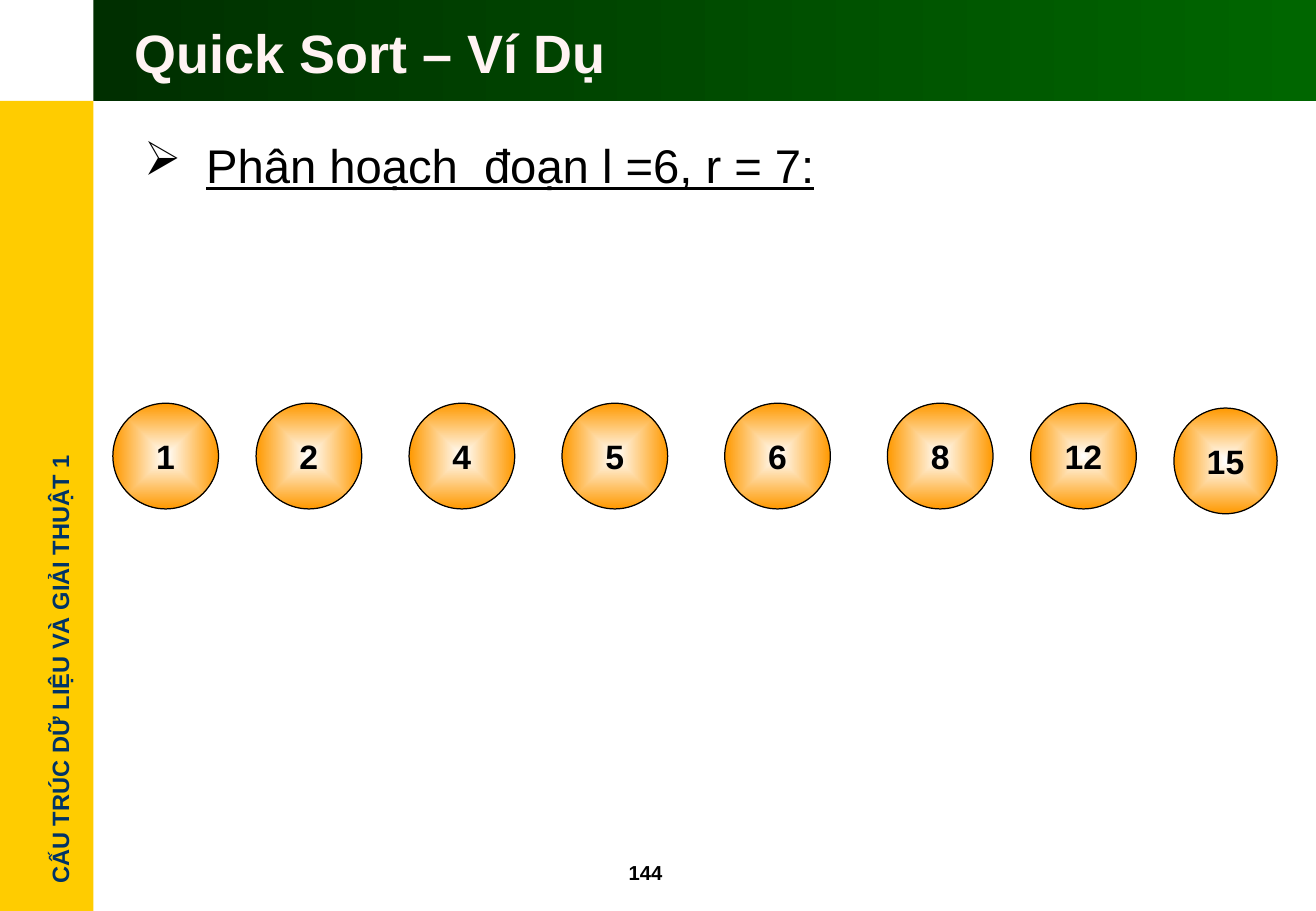
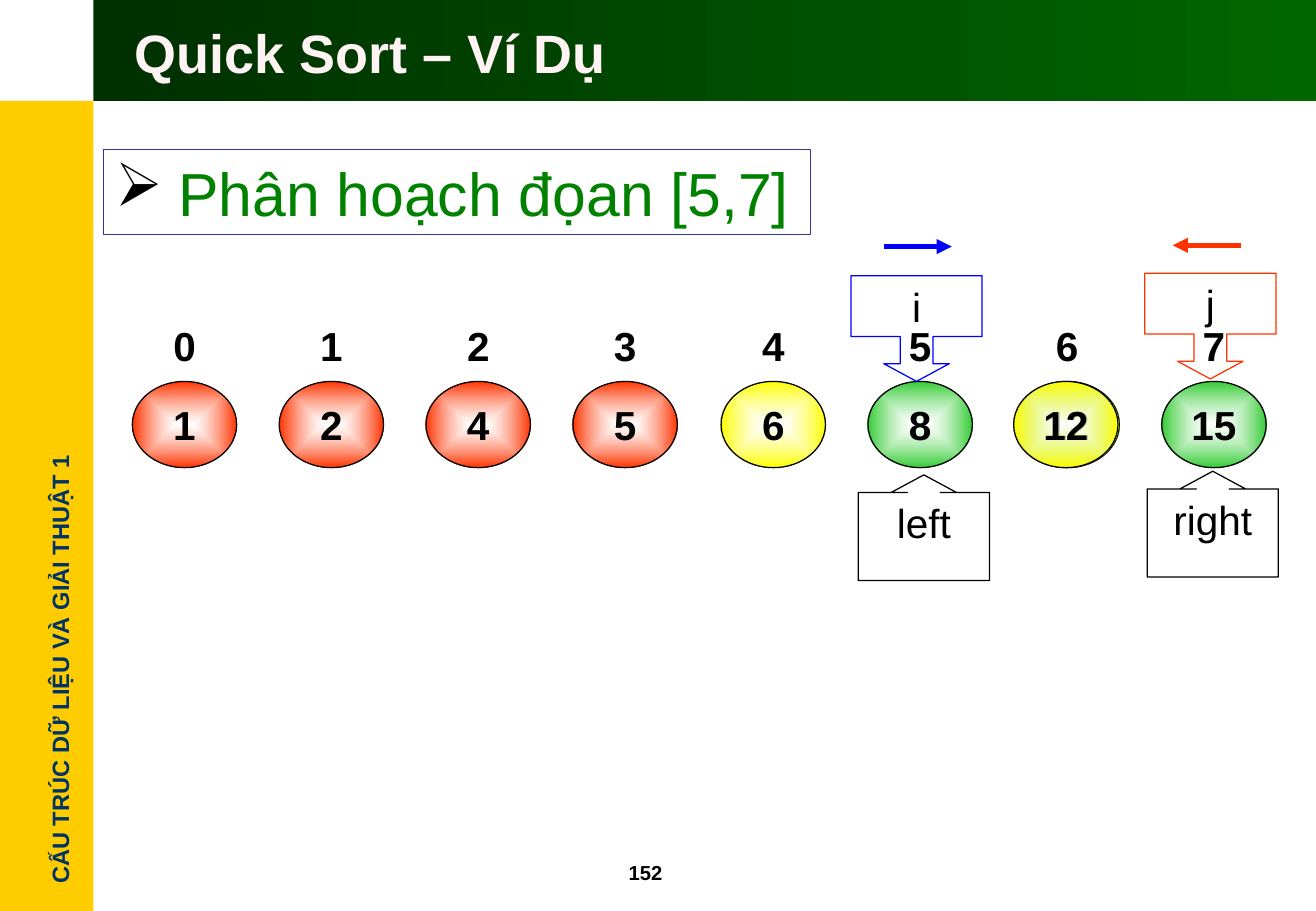
from lxml import etree
from pptx import Presentation
from pptx import util as u
from pptx.dml.color import RGBColor
from pptx.enum import shapes, text
from pptx.oxml import ns

PX = 9144
FONT = "Arial"
COLOURS = {
    "band_start": "002F00", "band_end": "006600", "sidebar": "FFCC00",
    "course": "003366", "title": "FFF3F3", "black": "000000", "white": "FFFFFF",
    "orange": "FF9900", "red": "FF3300", "yellow": "FFFF00", "green": "33CC33",
    "blue": "0000FF", "frame": "333399", "heading": "008200",
}
SLIDE_SIZE = (1084, 750)
COURSE = "CẤU TRÚC DỮ LIỆU VÀ GIẢI THUẬT 1"
TITLE = "Quick Sort – Ví Dụ"
VALUES = [1, 2, 4, 5, 6, 8, 12, 15]

SORTED_PAGE = 144
SORTED_HEADING = "Phân hoạch  đoạn l =6, r = 7:"
SORTED_BOXES = [(left, 332, 87, 87) for left in (93, 211, 337, 463, 597, 731, 849)]
SORTED_BOXES.append((967, 336, 85, 87))

PARTITION_PAGE = 152
PARTITION_HEADING = "Phân hoạch đọan [5,7]"
PARTITION_COLOURS = ["red"] * 4 + ["yellow"] + ["green"] * 3
FIRST_LEFT, LAST_LEFT = 109, 957
INDEX_TOP, VALUE_TOP = 249, 314
CELL_SIZE = (86, 71)
PIVOT = (6, "yellow")
CALLOUT_SIZE = (108, 87)
DOWN, UP = shapes.MSO_SHAPE.DOWN_ARROW_CALLOUT, shapes.MSO_SHAPE.UP_ARROW_CALLOUT
CALLOUTS = [
    ("left", UP, 707, 391, "black", 0.851),
    ("right", UP, 945, 388, "black", 0.851),
    ("i", DOWN, 701, 227, "blue", 0.575),
    ("j", DOWN, 943, 225, "red", 0.575),
]
MOVES = [(728, 784, 203, "blue"), (1022, 966, 202, "red")]


def px(*lengths):
    return [u.Emu(length * PX) for length in lengths]


def rgb(name):
    return RGBColor.from_string(COLOURS[name])


def add_child(parent, tag, **attributes):
    return etree.SubElement(parent, ns.qn(tag), attributes)


def set_text(shape, words, size, colour="black", bold=False, wrap=True,
             align=text.PP_ALIGN.LEFT, anchor=text.MSO_ANCHOR.TOP):
    frame = shape.text_frame
    frame.text = str(words)
    frame.word_wrap = wrap
    frame.vertical_anchor = anchor
    paragraph = frame.paragraphs[0]
    paragraph.alignment = align
    font = paragraph.runs[0].font
    font.name, font.size, font.bold = FONT, u.Pt(size), bold
    font.color.rgb = rgb(colour)
    return paragraph


def add_label(slide, box, words, size, **style):
    return set_text(slide.shapes.add_textbox(*px(*box)), words, size, **style)


def add_shape(slide, kind, box, line=None):
    shape = slide.shapes.add_shape(kind, *px(*box))
    shape.shadow.inherit = False
    shape.fill.background()
    if line:
        shape.line.color.rgb = rgb(line)
        shape.line.width = u.Pt(0.75)
    else:
        shape.line.fill.background()
    return shape


def fill_gradient(shape, start, end):
    shape.fill.gradient()
    shape.fill.gradient_angle = 0
    for stop, colour in zip(shape.fill.gradient_stops, (start, end)):
        stop.color.rgb = rgb(colour)


def fill_from_centre(shape, colour, opacity):
    fill_gradient(shape, "white", colour)
    gradient = shape._element.spPr.find(ns.qn("a:gradFill"))
    gradient.remove(gradient.find(ns.qn("a:lin")))
    centre = add_child(gradient, "a:path", path="rect")
    add_child(centre, "a:fillToRect", l="50000", t="50000", r="50000", b="50000")
    if opacity < 100:
        white = gradient.find(".//" + ns.qn("a:srgbClr"))
        add_child(white, "a:alpha", val=str(opacity * 1000))


def add_ball(slide, box, value, colour, size, opacity=100):
    ball = add_shape(slide, shapes.MSO_SHAPE.OVAL, box, "black")
    fill_from_centre(ball, colour, opacity)
    set_text(ball, value, size, bold=True, wrap=False,
             align=text.PP_ALIGN.CENTER, anchor=text.MSO_ANCHOR.MIDDLE)


def add_bullet(paragraph, indent):
    properties = paragraph._p.get_or_add_pPr()
    properties.set("marL", str(indent * PX))
    properties.set("indent", str(-indent * PX))
    add_child(add_child(properties, "a:buClr"), "a:srgbClr", val=COLOURS["black"])
    add_child(properties, "a:buChar", char="➢")


def add_move(slide, start, end, y, colour):
    arrow = slide.shapes.add_connector(
        shapes.MSO_CONNECTOR.STRAIGHT, *px(start, y, end, y))
    arrow.line.color.rgb = rgb(colour)
    arrow.line.width = u.Pt(3)
    add_child(arrow.line._get_or_add_ln(), "a:tailEnd", type="triangle")
    add_child(arrow._element.spPr, "a:effectLst")


def add_framed_slide(presentation, page):
    slide = presentation.slides.add_slide(presentation.slide_layouts[6])
    sidebar = add_shape(slide, shapes.MSO_SHAPE.RECTANGLE, (0, 83, 77, 667))
    sidebar.fill.solid()
    sidebar.fill.fore_color.rgb = rgb("sidebar")
    course = slide.shapes.add_textbox(*px(-137, 534, 373, 34))
    course.rotation = 270
    set_text(course, COURSE, 14, "course", bold=True, wrap=False)
    band = add_shape(slide, shapes.MSO_SHAPE.RECTANGLE, (77, 0, 1007, 83))
    fill_gradient(band, "band_start", "band_end")
    add_label(slide, (508, 703, 83, 30), page, 12, bold=True)
    add_label(slide, (101, 9, 961, 67), TITLE, 32, colour="title", bold=True,
              anchor=text.MSO_ANCHOR.MIDDLE)
    return slide


def build_sorted(presentation):
    slide = add_framed_slide(presentation, SORTED_PAGE)
    heading = add_label(slide, (109, 107, 937, 81), SORTED_HEADING, 28)
    add_bullet(heading, 51)
    heading.runs[0].font.underline = True
    for value, box in zip(VALUES, SORTED_BOXES):
        add_ball(slide, box, value, "orange", 20)


def build_partition(presentation):
    slide = add_framed_slide(presentation, PARTITION_PAGE)
    frame = add_shape(slide, shapes.MSO_SHAPE.RECTANGLE, (85, 123, 583, 70), "frame")
    add_bullet(set_text(frame, PARTITION_HEADING, 36, "heading"), 52)

    step = (LAST_LEFT - FIRST_LEFT) / (len(VALUES) - 1)
    lefts = [round(FIRST_LEFT + step * index) for index in range(len(VALUES))]
    for index, (left, value, colour) in enumerate(zip(lefts, VALUES, PARTITION_COLOURS)):
        add_ball(slide, (left, VALUE_TOP, *CELL_SIZE), value, colour, 24, 60)
        add_label(slide, (left, INDEX_TOP, *CELL_SIZE), index, 24, bold=True,
                  align=text.PP_ALIGN.CENTER, anchor=text.MSO_ANCHOR.MIDDLE)

    for words, kind, left, top, colour, body in CALLOUTS:
        callout = add_shape(slide, kind, (left, top, *CALLOUT_SIZE), colour)
        for position, value in enumerate((0.31, 0.31, 0.167, body)):
            callout.adjustments[position] = value
        set_text(callout, words, 24, align=text.PP_ALIGN.CENTER)
    for move in MOVES:
        add_move(slide, *move)

    pivot, colour = PIVOT
    add_ball(slide, (lefts[pivot] - 1, VALUE_TOP, *CELL_SIZE), VALUES[pivot], colour, 24, 60)


def main():
    presentation = Presentation()
    presentation.slide_width, presentation.slide_height = px(*SLIDE_SIZE)
    build_sorted(presentation)
    build_partition(presentation)
    presentation.save("out.pptx")


if __name__ == "__main__":
    main()
